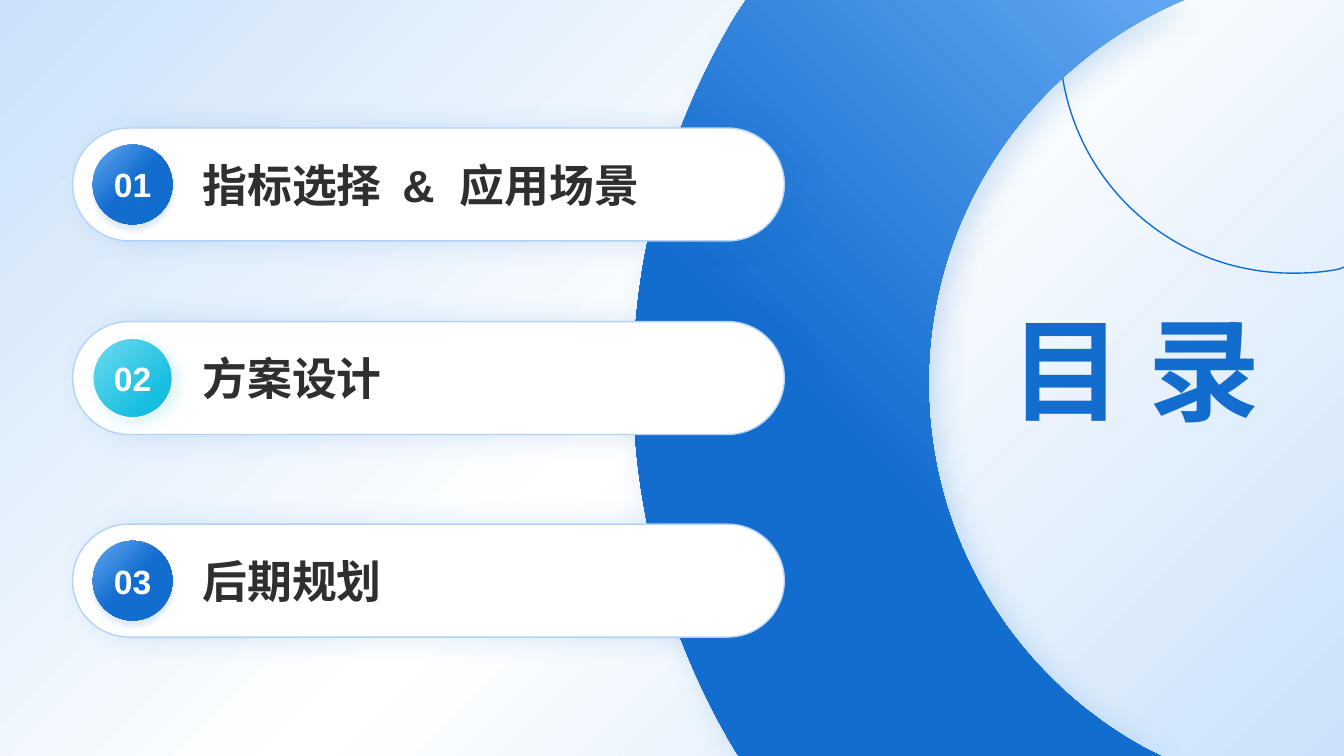
from lxml import etree
from pptx import Presentation, util as u
from pptx.dml.color import RGBColor
from pptx.enum import shapes, text
from pptx.oxml.ns import qn

BLUE = RGBColor(0x13, 0x6D, 0xCF)
LIGHT_BLUE = RGBColor(0x63, 0xA7, 0xF1)
CYAN = RGBColor(0x16, 0xBE, 0xE0)
LIGHT_CYAN = RGBColor(0x6F, 0xDB, 0xF1)
PALE = RGBColor(0xCB, 0xE2, 0xFA)
OUTLINE = RGBColor(0xB1, 0xD3, 0xF8)
INK = RGBColor(0x2F, 0x2F, 0x2F)
WHITE = RGBColor(0xFF, 0xFF, 0xFF)

WIDTH, HEIGHT = 13.33, 7.5
FONT = "Arial"
BLUE_BADGE = dict(stops=[(0, LIGHT_BLUE), (50, BLUE)], shadow=(BLUE, 15, 4, 4, 90))
CYAN_BADGE = dict(stops=[(0, LIGHT_CYAN), (75, CYAN)], shadow=(CYAN, 15, 10, 5, 45), line=WHITE)
ENTRIES = [
    (1.27, "01", "指标选择  &  应用场景", BLUE_BADGE),
    (3.19, "02", "方案设计", CYAN_BADGE),
    (5.2, "03", "后期规划", BLUE_BADGE),
]
THIN_ARC = [
    [(10.54, 0)],
    [(10.52, 0.17)],
    [(10.51, 0.24), (10.51, 0.32), (10.51, 0.4)],
    [(10.51, 1.68), (11.54, 2.71), (12.82, 2.71)],
    [(12.98, 2.71), (13.13, 2.7), (13.28, 2.67)],
    [(WIDTH, 2.65)],
]
BAND = [
    [(7.4, 0)],
    [(11.75, 0)],
    [(11.73, 0.01)],
    [(10.25, 0.63), (9.21, 2.1), (9.21, 3.8)],
    [(9.21, 5.37), (10.08, 6.73), (11.37, 7.43)],
    [(11.51, HEIGHT)],
    [(7.33, HEIGHT)],
    [(7.3, 7.46)],
    [(6.66, 6.39), (6.28, 5.14), (6.28, 3.8)],
    [(6.28, 2.47), (6.66, 1.22), (7.3, 0.15)],
]


def add_color(parent, color):
    return etree.SubElement(parent, qn("a:srgbClr"), val=str(color))


def set_gradient(fill, properties, stops, angle):
    fill.solid()
    solid = properties.find(qn("a:solidFill"))
    gradient = etree.Element(qn("a:gradFill"), rotWithShape="1")
    stop_list = etree.SubElement(gradient, qn("a:gsLst"))
    for position, color in stops:
        add_color(etree.SubElement(stop_list, qn("a:gs"), pos=str(position * 1000)), color)
    etree.SubElement(gradient, qn("a:lin"), ang=str(angle * 60000), scaled="0")
    properties.replace(solid, gradient)


def style_shape(shape, fill=None, stops=None, angle=45, line=None, shadow=None):
    properties = shape.element.spPr
    if stops:
        set_gradient(shape.fill, properties, stops, angle)
    elif fill is not None:
        shape.fill.solid()
        shape.fill.fore_color.rgb = fill
    else:
        shape.fill.background()
    if line is not None:
        shape.line.color.rgb = line
        shape.line.width = u.Pt(1)
    else:
        shape.line.fill.background()
    shape.shadow.inherit = False
    if shadow:
        color, alpha, blur, distance, direction = shadow
        outer = etree.SubElement(
            properties.find(qn("a:effectLst")), qn("a:outerShdw"),
            blurRad=str(u.Pt(blur)), dist=str(u.Pt(distance)),
            dir=str(direction * 60000), algn="ctr", rotWithShape="0")
        etree.SubElement(add_color(outer, color), qn("a:alpha"), val=str(alpha * 1000))


def write_text(shape, words, size, color, align=text.PP_ALIGN.LEFT, wrap=False):
    frame = shape.text_frame
    frame.auto_size = text.MSO_AUTO_SIZE.NONE
    frame.word_wrap = wrap
    frame.vertical_anchor = text.MSO_ANCHOR.MIDDLE
    para = frame.paragraphs[0]
    para.alignment = align
    span = para.add_run()
    span.text = words
    span.font.name = FONT
    span.font.size = u.Pt(size)
    span.font.bold = True
    span.font.color.rgb = color


def add_outline(page, segments, close):
    corners = [(u.Inches(x), u.Inches(y)) for segment in segments for x, y in segment]
    builder = page.shapes.build_freeform(*corners[0])
    builder.add_line_segments(corners[1:], close=close)
    outline = builder.convert_to_shape()
    steps = iter(list(outline.element.iter(qn("a:lnTo"))))
    for segment in segments[1:]:
        group = [next(steps) for _ in segment]
        if len(group) == 3:
            curve = etree.Element(qn("a:cubicBezTo"))
            group[0].addprevious(curve)
            for step in group:
                curve.append(step.find(qn("a:pt")))
                step.getparent().remove(step)
    return outline


def add_backdrop(page):
    background = page.background.fill
    background.solid()
    properties = page.element.find(".//" + qn("p:bgPr"))
    set_gradient(background, properties, [(0, PALE), (50, WHITE), (100, PALE)], 45)
    style_shape(add_outline(page, THIN_ARC, False), line=BLUE)
    style_shape(add_outline(page, BAND, True), stops=[(0, LIGHT_BLUE), (60, BLUE)],
                angle=135, shadow=(BLUE, 20, 20, 10, 45))


def add_title(page, left, top, width, height):
    title = page.shapes.title
    title.left, title.top, title.width, title.height = map(u.Inches, (left, top, width, height))
    write_text(title, "目 录", 80, BLUE, align=text.PP_ALIGN.RIGHT)


def add_pill(page, left, top, width, height, **style):
    pill = page.shapes.add_shape(
        shapes.MSO_SHAPE.ROUNDED_RECTANGLE, *map(u.Inches, (left, top, width, height)))
    pill.adjustments[0] = 0.5
    style_shape(pill, **style)
    return pill


def add_entry(page, left, top, width, height, number, words, badge_style):
    add_pill(page, left, top, width, height, fill=WHITE, line=OUTLINE,
             shadow=(BLUE, 15, 20, 10, 0))
    label_height = 0.73
    label = page.shapes.add_textbox(*map(u.Inches, (
        left + 1.19, top + (height - label_height) / 2, width - 1.48, label_height)))
    write_text(label, words, 32, INK, wrap=True)
    side = 0.79
    badge = add_pill(page, left + 0.2, top + (height - side) / 2, side, side, **badge_style)
    write_text(badge, number, 24, WHITE, align=text.PP_ALIGN.CENTER)


def main():
    deck = Presentation()
    deck.slide_width, deck.slide_height = u.Inches(WIDTH), u.Inches(HEIGHT)
    page = deck.slides.add_slide(deck.slide_layouts[5])
    add_backdrop(page)
    add_title(page, 8.68, 2.85, 3.92, 1.6)
    for top, number, words, badge_style in ENTRIES:
        add_entry(page, 0.72, top, 7.06, 1.12, number, words, badge_style)
    deck.save("out.pptx")


if __name__ == "__main__":
    main()
